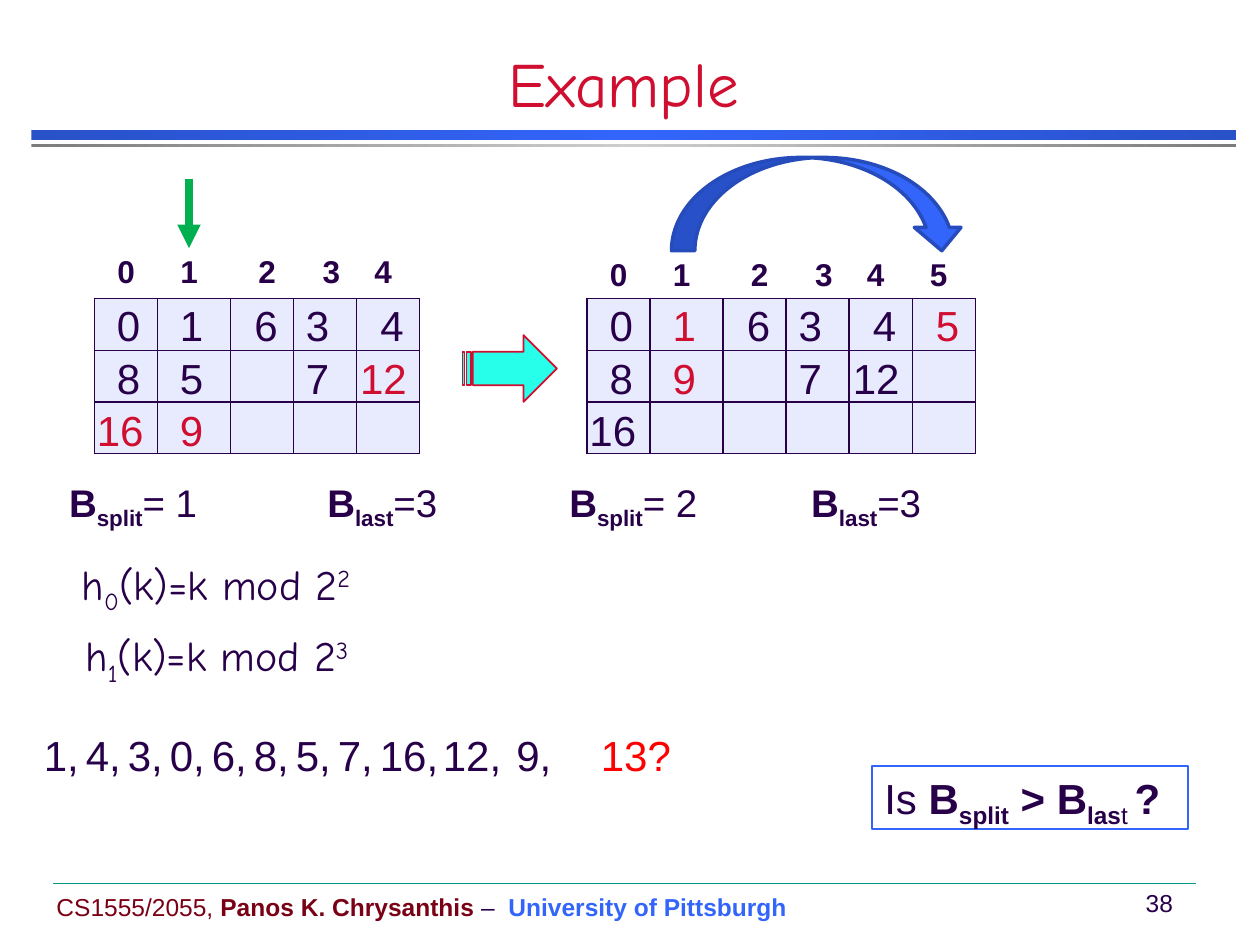
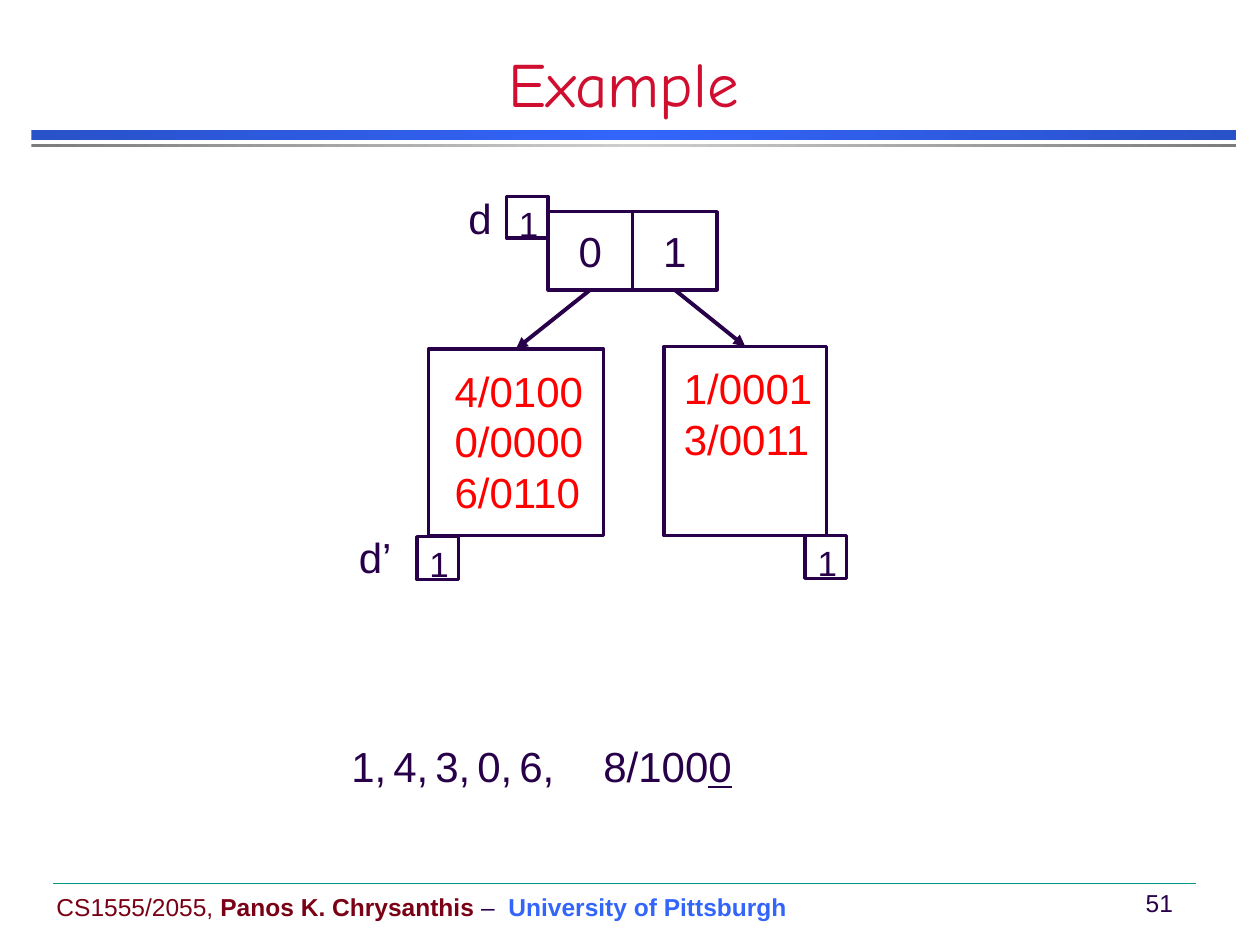
import copy
import lxml.etree
import pptx
import pptx.dml.color
import pptx.enum.shapes
import pptx.enum.text
import pptx.oxml.ns
import pptx.util

HUES = {
    "ink": "280049", "red": "CF0E30", "hot": "FF0000", "blue": "3365FB",
    "navy": "2951C9", "edge": "264BBA", "gray": "7C7C7C", "pale": "CECECE",
    "wine": "790015", "teal": "009688", "green": "00B050", "aqua": "27FFEB",
    "cell": "E8EAFE", "white": "FFFFFF",
}
RGB = {name: pptx.dml.color.RGBColor.from_string(code) for name, code in HUES.items()}
inch = pptx.util.Inches
qn = pptx.oxml.ns.qn
Align = pptx.enum.text.PP_ALIGN
Anchor = pptx.enum.text.MSO_ANCHOR
Shape = pptx.enum.shapes.MSO_SHAPE
STRAIGHT = pptx.enum.shapes.MSO_CONNECTOR.STRAIGHT
BOLD = {"bold": True}
SUB = {"base": -25}
BOLD_SUB = {"bold": True, "base": -25}
SUPER = {"base": 30}


def write(frame, runs, size=24, hue="ink", face="Arial", align=Align.LEFT, bold=None):
    line = frame.paragraphs[0]
    line.alignment = align
    line.font.size = pptx.util.Pt(size)
    line.font.name = face
    line.font.bold = bold
    if isinstance(runs, str):
        line.font.color.rgb = RGB[hue]
        runs = [(runs, {})]
    for words, style in runs:
        run = line.add_run()
        run.text = words
        run.font.color.rgb = RGB[style.get("hue", hue)]
        if "bold" in style:
            run.font.bold = True
        if "under" in style:
            run.font.underline = True
        if "base" in style:
            run._r.get_or_add_rPr().set("baseline", str(style["base"] * 1000))


def label(page, spot, runs, wrap=True, **style):
    box = page.shapes.add_textbox(*map(inch, spot))
    box.text_frame.word_wrap = wrap
    write(box.text_frame, runs, **style)
    return box


deck = pptx.Presentation()
deck.slide_width, deck.slide_height = inch(10), inch(7.5)
pages = []
lines = []

for number in (38, 51):
    page = deck.slides.add_slide(deck.slide_layouts[5])
    pages.append(page)

    for top, height, rim, core in ((1.03, 0.08, "navy", "blue"), (1.14, 0.03, "gray", "pale")):
        band = page.shapes.add_shape(Shape.RECTANGLE, *map(inch, (0.25, top, 9.56, height)))
        band.shadow.inherit = False
        band.line.fill.background()
        band.fill.gradient()
        band.fill.gradient_angle = 0
        stops = band._element.spPr.find(".//" + qn("a:gsLst"))
        stops.insert(1, copy.deepcopy(stops[0]))
        for stop, hue, place in zip(band.fill.gradient_stops, (rim, core, rim), (0, 0.5, 1)):
            stop.color.rgb = RGB[hue]
            stop.position = place

    foot = label(page, (0.35, 7.03, 6.04, 0.33), [
        ("CS1555/2055, ", {"hue": "wine"}),
        ("Panos K. Chrysanthis", {"hue": "wine", "bold": True}),
        (" –  ", {}),
        ("University of Pittsburgh", {"hue": "blue", "bold": True}),
    ], False, size=14)
    count = label(page, (8.93, 7, 0.49, 0.33), f" {number}", False, size=14, align=Align.CENTER)
    for box in (foot, count):
        box.text_frame.vertical_anchor = Anchor.MIDDLE
    rule = page.shapes.add_connector(STRAIGHT, *map(inch, (0.42, 7.01, 9.49, 7.01)))
    lines.append((rule, "teal", 0.25, False))

    title = page.shapes.title
    title.left, title.top, title.width, title.height = map(inch, (0, 0.42, 9.9, 0.58))
    title.text_frame.vertical_anchor = Anchor.BOTTOM
    title.text_frame.auto_size = pptx.enum.text.MSO_AUTO_SIZE.NONE
    write(title.text_frame, "Example", 36, "red", "Comic Neue", Align.CENTER)

hashing, tree = pages

GRIDS = [
    (0.75, 1.97, [["0", "1", " 2", "3"], ["4"]]),
    (4.66, 2.0, [["0", "1", " 2", "3"], ["4"], ["5"]]),
]
for left, top, parts in GRIDS:
    for part, heads in enumerate(parts):
        x = left + (2.08 + 0.5 * (part - 1) if part else 0)
        whole = len(heads) > 1
        head_cols = (0.5, 0.5, 0.67, 0.42) if whole else (0.42,)
        body_cols = (0.5, 0.58, 0.5, 0.5) if whole else (0.5,)
        for y, cols, rows, high in ((top, head_cols, 1, 0.4), (2.37, body_cols, 3, 0.41)):
            spot = map(inch, (x, y, sum(cols), rows * high))
            table = page_table = hashing.shapes.add_table(rows, len(cols), *spot).table
            table.first_row = table.horz_banding = False
            for col, wide in zip(table.columns, cols):
                col.width = inch(wide)
            for row in table.rows:
                row.height = inch(high)
            for at, cell in enumerate(table.iter_cells()):
                if rows == 1:
                    cell.fill.background()
                    write(cell.text_frame, heads[at], 18, align=Align.CENTER, bold=True)
                    continue
                props = cell._tc.get_or_add_tcPr()
                for side in ("a:lnL", "a:lnR", "a:lnT", "a:lnB"):
                    edge = lxml.etree.SubElement(props, qn(side), w="12700")
                    fill = lxml.etree.SubElement(edge, qn("a:solidFill"))
                    lxml.etree.SubElement(fill, qn("a:srgbClr"), val=HUES["ink"])
                cell.fill.solid()
                cell.fill.fore_color.rgb = RGB["cell"]

KEYS = [
    (0.75, [["0", "1", "6", "3", "4"], ["8", "5", "", "7", "12"], ["16", "9"]],
     {"12", "16", "9"}),
    (4.66, [["0", "1", "6", "3", "4", "5"], ["8", "9", "", "7", "12"], ["16"]],
     {"1", "5", "9"}),
]
SHIFTS = (0.08, 0.58, 1.17, 1.58, 2.17, 2.67)
for left, rows, fresh in KEYS:
    for y, row in zip((2.33, 2.75, 3.16), rows):
        for shift, key in zip(SHIFTS, row):
            if key:
                extra = 0.16 * (len(key) - 1)
                label(hashing, (left + shift - extra, y, 0.42 + extra, 0.51), key,
                      hue="red" if key in fresh else "ink")

STATES = [
    (0.45, 1.29, "split", "= 1"), (2.5, 1.13, "last", "=3"),
    (4.42, 1.29, "split", "= 2"), (6.34, 1.13, "last", "=3"),
]
for x, wide, name, value in STATES:
    label(hashing, (x, 3.75, wide, 0.47),
          [("B", BOLD), (name, BOLD_SUB), (value, {})], False, size=22)

for x, y, step, power in ((0.55, 4.38, "0", "2"), (0.58, 4.95, "1", "3")):
    label(hashing, (x, y, 2.49, 0.51),
          [("h", {}), (step, SUB), ("(k)=k mod 2", {}), (power, SUPER)],
          False, face="Comic Neue")

SERIES = [
    (hashing, 0.25, 5.74, "1 4 3 0 6 8 5 7 16 12 9", (*range(9), 9.5, 11.25)),
    (tree, 2.69, 5.83, "1 4 3 0 6", range(5)),
]
for page, left, y, keys, steps in SERIES:
    for key, step in zip(keys.split(), steps):
        label(page, (left + step / 3, y, 0.75, 0.51), key + ",")
label(hashing, (4.67, 5.74, 0.99, 0.51), "13?", hue="hot")
label(tree, (4.69, 5.83, 1.39, 0.51), [("8/100", {}), ("0", {"under": True})])

ARROWS = [
    (Shape.CURVED_DOWN_ARROW, (5.33, 1.25, 2.33, 0.74), "blue", "edge", 2),
    (Shape.STRIPED_RIGHT_ARROW, (3.67, 2.66, 0.75, 0.53), "aqua", "red", 1),
]
for kind, spot, fill, edge, width in ARROWS:
    arrow = hashing.shapes.add_shape(kind, *map(inch, spot))
    arrow.shadow.inherit = False
    arrow.fill.solid()
    arrow.fill.fore_color.rgb = RGB[fill]
    arrow.line.color.rgb = RGB[edge]
    arrow.line.width = pptx.util.Pt(width)
mark = hashing.shapes.add_connector(STRAIGHT, *map(inch, (1.5, 1.42, 1.5, 1.97)))
lines.append((mark, "green", 4.5, True))

query = label(hashing, (6.92, 6.08, 2.51, 0.5), [
    ("Is ", {}), ("B", BOLD), ("split", BOLD_SUB), (" > B", BOLD),
    ("las", BOLD_SUB), ("t ", SUB), ("?", BOLD),
], False)
query.line.color.rgb = RGB["blue"]
query.line.width = pptx.util.Pt(0.75)

BOXES = [
    ("zero", (4.35, 1.68, 0.67, 0.62), "0", 24),
    ("one", (5.02, 1.68, 0.67, 0.62), "1", 24),
    ("depth", (4.02, 1.56, 0.33, 0.33), "1", 20),
    ("even", (3.4, 2.77, 1.39, 1.48), "", 24),
    ("odd", (5.27, 2.75, 1.29, 1.5), "", 24),
    ("low", (3.31, 4.26, 0.33, 0.34), "1", 20),
    ("high", (6.39, 4.25, 0.33, 0.34), "1", 20),
]
nodes = {}
for name, spot, words, size in BOXES:
    box = nodes[name] = tree.shapes.add_shape(Shape.RECTANGLE, *map(inch, spot))
    box.shadow.inherit = False
    box.fill.solid()
    box.fill.fore_color.rgb = RGB["white"]
    box.line.color.rgb = RGB["ink"]
    box.line.width = pptx.util.Pt(2)
    if words:
        small = size == 20
        box.text_frame.vertical_anchor = Anchor.TOP if small else Anchor.MIDDLE
        write(box.text_frame, words, size, align=Align.LEFT if small else Align.CENTER)

for start, end in (("zero", "even"), ("one", "odd")):
    link = tree.shapes.add_connector(STRAIGHT, 0, 0, 0, 0)
    link.begin_connect(nodes[start], 2)
    link.end_connect(nodes[end], 0)
    lines.append((link, "ink", 2.25, True))

for x, y, words in ((3.62, 1.48, "d"), (2.75, 4.17, "d’")):
    label(tree, (x, y, 0.47, 0.51), words, False)
for x, y, keys in ((3.51, 2.85, "4/0100 0/0000 6/0110"), (5.33, 2.83, "1/0001 3/0011")):
    for row, key in enumerate(keys.split()):
        label(tree, (x, y + 0.4 * row, 1.23, 0.51), key, False, hue="hot")

for line, hue, width, tip in lines:
    line.line.color.rgb = RGB[hue]
    line.line.width = pptx.util.Pt(width)
    if tip:
        lxml.etree.SubElement(line.line._get_or_add_ln(), qn("a:tailEnd"), type="triangle")
    lxml.etree.SubElement(line._element.spPr, qn("a:effectLst"))

deck.save("out.pptx")
